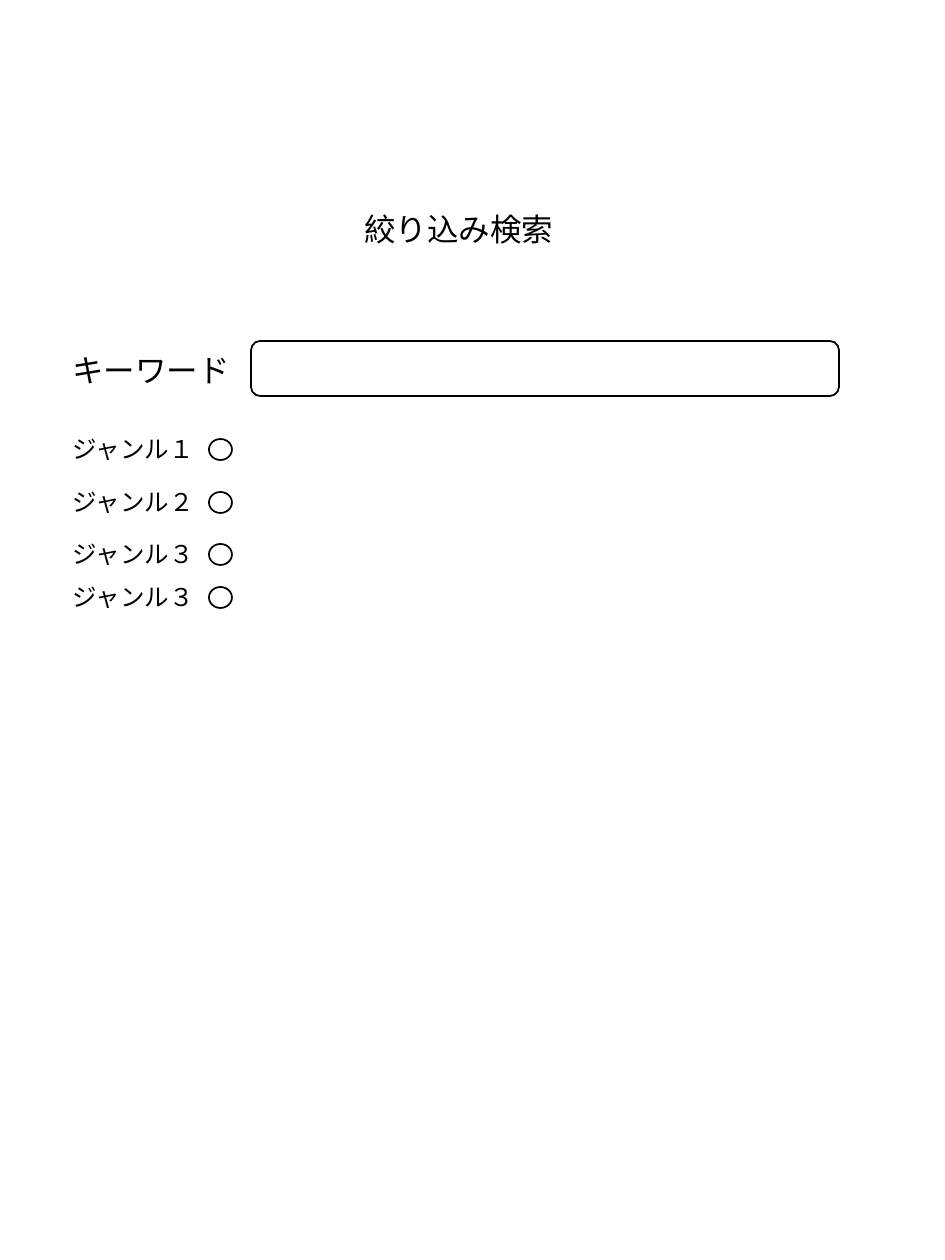
"""Build a refined-search form slide with a keyword field and genre options."""
from pptx import Presentation
from pptx.dml.color import RGBColor
from pptx.enum.shapes import MSO_SHAPE
from pptx.enum.text import MSO_AUTO_SIZE
from pptx.util import Emu, Pt

THEME = {
    "ink": RGBColor(0, 0, 0),
    "paper": RGBColor(255, 255, 255),
    "font": "Calibri",
    "heading": Pt(18),
    "option": Pt(14),
    "line": Pt(1),
}
PX = 914400 / 126


def add_label(s, text, box, size):
    sp = s.shapes.add_textbox(*(Emu(round(v * PX)) for v in box))
    tf = sp.text_frame
    tf.word_wrap = True
    tf.auto_size = MSO_AUTO_SIZE.SHAPE_TO_FIT_TEXT
    r = tf.paragraphs[0].add_run()
    r.text = text
    for name, value in {"name": THEME["font"], "size": size}.items():
        setattr(r.font, name, value)
    r.font.color.rgb = THEME["ink"]


def add_outline(s, kind, box):
    sp = s.shapes.add_shape(kind, *(Emu(round(v * PX)) for v in box))
    sp.shadow.inherit = False
    sp.fill.solid()
    sp.fill.fore_color.rgb = THEME["paper"]
    sp.line.color.rgb = THEME["ink"]
    sp.line.width = THEME["line"]


prs = Presentation()
prs.slide_width = Emu(round(945 * PX))
prs.slide_height = Emu(round(1260 * PX))
s = prs.slides.add_slide(prs.slide_layouts[6])

add_outline(s, MSO_SHAPE.ROUNDED_RECTANGLE, (251, 341, 588, 55))
add_label(s, "キーワード", (60, 345, 243, 50), THEME["heading"])

genres = [("ジャンル１", 428), ("ジャンル２", 481), ("ジャンル３", 533), ("ジャンル３", 576)]
for text, top in genres:
    add_label(s, text, (60, top, 149, 43), THEME["option"])
    add_outline(s, MSO_SHAPE.OVAL, (209, top + 11, 23, 21))

add_label(s, "絞り込み検索", (352, 204, 243, 50), THEME["heading"])

prs.save("out.pptx")
